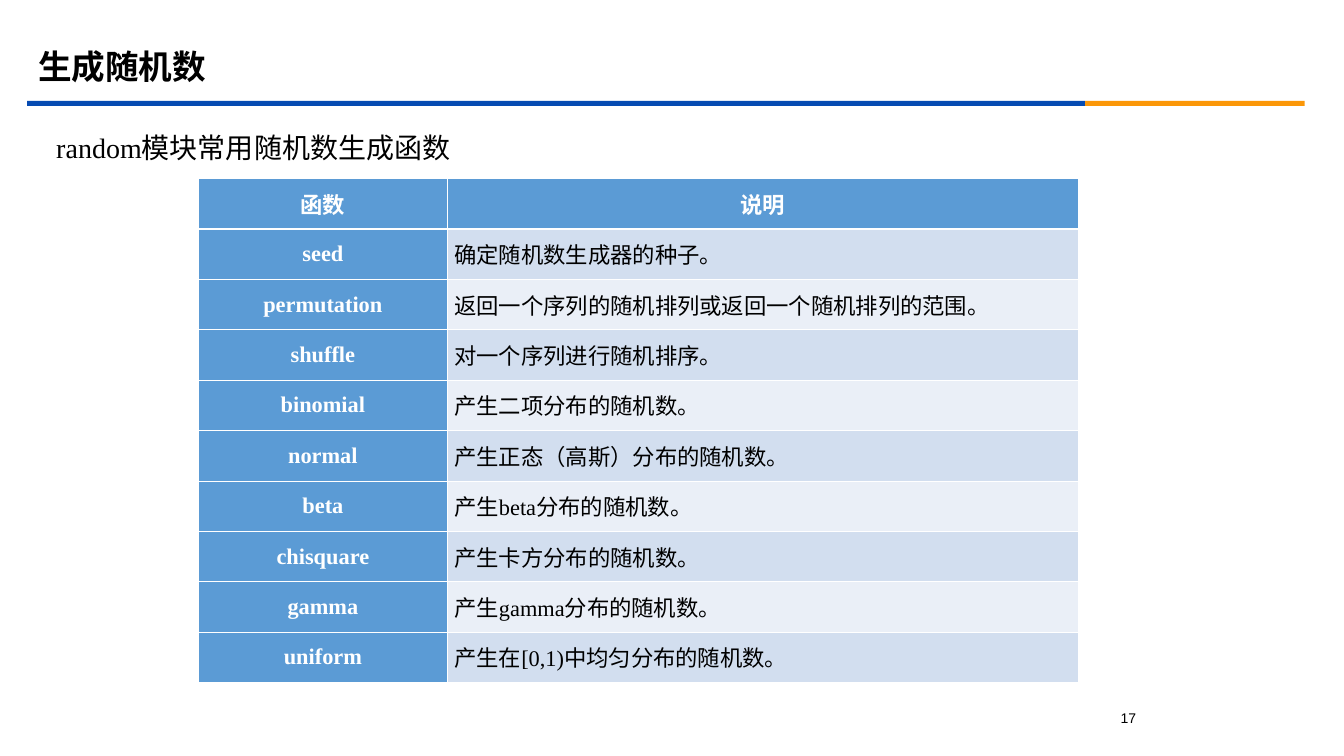
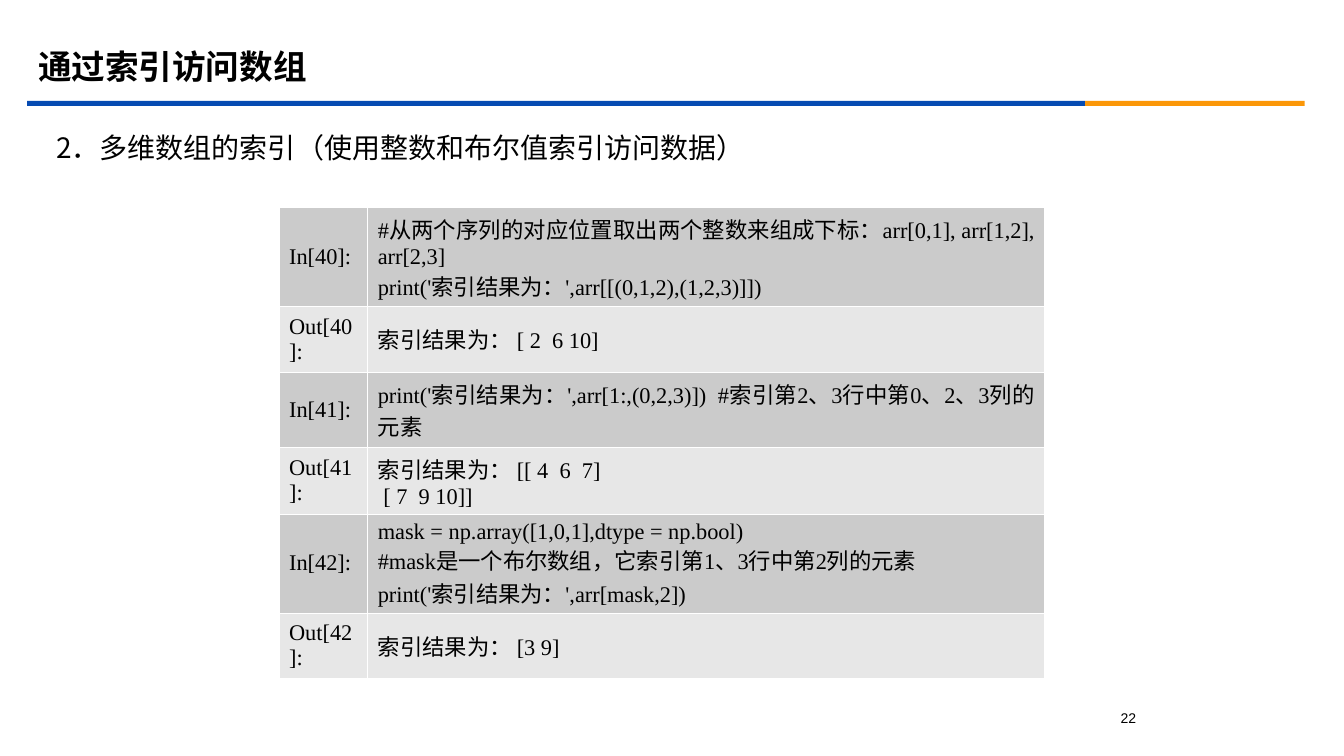
from lxml import etree
from pptx import Presentation
from pptx.dml.color import RGBColor
from pptx.enum.shapes import MSO_SHAPE
from pptx.enum.text import MSO_ANCHOR, PP_ALIGN
from pptx.oxml.ns import qn
from pptx.util import Emu, Pt

CENTER, JUSTIFY = PP_ALIGN.CENTER, PP_ALIGN.JUSTIFY
LEFT, MIDDLE, TOP = PP_ALIGN.LEFT, MSO_ANCHOR.MIDDLE, MSO_ANCHOR.TOP
RECTANGLE = MSO_SHAPE.RECTANGLE

# Shared look
SCALE = 9144  # EMU in one px, 100 px to the inch
BLACK, WHITE = "000000", "FFFFFF"
HEADER_BLUE = "5B9BD5"
BLUE_BANDS = ("D2DEEF", "EAEFF7")
GRAY_BANDS = ("CBCBCB", "E7E7E7")
SERIF, SANS, TITLE_FONT, NUMBER_FONT = "Times New Roman", "Noto Sans CJK SC", "Montserrat", "Arial"
TITLE_RULE = [((27, 100, 1050, 5), "064BB2"), ((1077, 100, 218, 5), "FB9708")]
THIN, THICK = 0.45, 1.47

# Content
FUNCTIONS = [
    ("函数", "说明"),
    ("seed", "确定随机数生成器的种子。"),
    ("permutation", "返回一个序列的随机排列或返回一个随机排列的范围。"),
    ("shuffle", "对一个序列进行随机排序。"),
    ("binomial", "产生二项分布的随机数。"),
    ("normal", "产生正态（高斯）分布的随机数。"),
    ("beta", "产生beta分布的随机数。"),
    ("chisquare", "产生卡方分布的随机数。"),
    ("gamma", "产生gamma分布的随机数。"),
    ("uniform", "产生在[0,1)中均匀分布的随机数。"),
]
NOTEBOOK = [
    ("In[40]:", "#从两个序列的对应位置取出两个整数来组成下标：arr[0,1], arr[1,2], arr[2,3]\n"
                "print('索引结果为：',arr[[(0,1,2),(1,2,3)]])"),
    ("Out[40]:", "索引结果为： [ 2  6 10]"),
    ("In[41]:", "print('索引结果为：',arr[1:,(0,2,3)])  #索引第2、3行中第0、2、3列的元素"),
    ("Out[41]:", "索引结果为： [[ 4  6  7]\n [ 7  9 10]]"),
    ("In[42]:", "mask = np.array([1,0,1],dtype = np.bool)\n"
                "#mask是一个布尔数组，它索引第1、3行中第2列的元素\n"
                "print('索引结果为：',arr[mask,2])"),
    ("Out[42]:", "索引结果为： [3 9]"),
]
NOTEBOOK_HEIGHTS = (98, 65, 75, 66, 98, 65)


def px(length):
    return Emu(length * SCALE)


def color(value):
    return RGBColor.from_string(value)


def write(frame, text, font, size, fill=BLACK, bold=False, align=LEFT, spacing=None):
    for index, line in enumerate(text.split("\n")):
        para = frame.add_paragraph() if index else frame.paragraphs[0]
        para.alignment = align
        if spacing:
            para.line_spacing = spacing
        span = para.add_run()
        span.text = line
        span.font.name, span.font.size, span.font.bold = font, Pt(size), bold
        span.font.color.rgb = color(fill)
        east_asian = etree.Element(qn("a:ea"), typeface=SANS)
        span.font._element.find(qn("a:latin")).addnext(east_asian)


def add_text(page, area, text, font, size, anchor=MIDDLE, **style):
    frame = page.shapes.add_textbox(*map(px, area)).text_frame
    frame.word_wrap = True
    frame.vertical_anchor = anchor
    write(frame, text, font, size, **style)


def add_page(deck, title, subtitle, subtitle_font, number):
    page = deck.slides.add_slide(deck.slide_layouts[6])
    for area, fill in TITLE_RULE:
        band = page.shapes.add_shape(RECTANGLE, *map(px, area))
        band.shadow.inherit = False
        band.fill.solid()
        band.fill.fore_color.rgb = color(fill)
        band.line.fill.background()
    add_text(page, (28, 39, 1200, 58), title, TITLE_FONT, 24, bold=True, spacing=0.9)
    add_text(page, (46, 125, 1215, 47), subtitle, subtitle_font, 20, spacing=0.9)
    add_text(page, (1089, 699, 62, 25), number, NUMBER_FONT, 10, anchor=TOP, align=CENTER)
    return page


def set_borders(cell, top, bottom):
    properties = cell._tc.get_or_add_tcPr()
    for side, width in (("L", THIN), ("R", THIN), ("T", top), ("B", bottom)):
        line = etree.SubElement(properties, qn(f"a:ln{side}"), w=str(int(Pt(width))))
        fill = etree.SubElement(line, qn("a:solidFill"))
        etree.SubElement(fill, qn("a:srgbClr"), val=WHITE)


def add_table(page, left, top, widths, heights, rows, margin, bands, has_header):
    area = (left, top, sum(widths), sum(heights))
    table = page.shapes.add_table(len(rows), len(widths), *map(px, area)).table
    table.first_row = table.horz_banding = False
    for column, width in zip(table.columns, widths):
        column.width = px(width)
    for r, (row, height) in enumerate(zip(rows, heights)):
        table.rows[r].height = px(height)
        for c, text in enumerate(row):
            cell = table.cell(r, c)
            heading = has_header and (r == 0 or c == 0)
            set_borders(cell, THICK if has_header and r == 1 else THIN,
                        THICK if has_header and r == 0 else THIN)
            cell.fill.solid()
            band = bands[(r - has_header) % 2]
            cell.fill.fore_color.rgb = color(HEADER_BLUE if heading else band)
            cell.vertical_anchor = MIDDLE
            cell.margin_left = cell.margin_right = px(margin)
            write(cell.text_frame, text, SERIF, 16, WHITE if heading else BLACK,
                  heading, CENTER if heading else JUSTIFY)


def main():
    deck = Presentation()
    deck.slide_width, deck.slide_height = px(1334), px(750)

    # Random number functions
    page = add_page(deck, "生成随机数", "random模块常用随机数生成函数", SERIF, "17")
    add_table(page, 197, 177, (247, 626), [50] * len(FUNCTIONS), FUNCTIONS,
              7, BLUE_BANDS, True)

    # Indexing arrays
    page = add_page(deck, "通过索引访问数组",
                    "2．多维数组的索引（使用整数和布尔值索引访问数据）", SANS, "22")
    add_table(page, 277, 206, (88, 672), NOTEBOOK_HEIGHTS, NOTEBOOK,
              10, GRAY_BANDS, False)

    deck.save("out.pptx")


if __name__ == "__main__":
    main()
